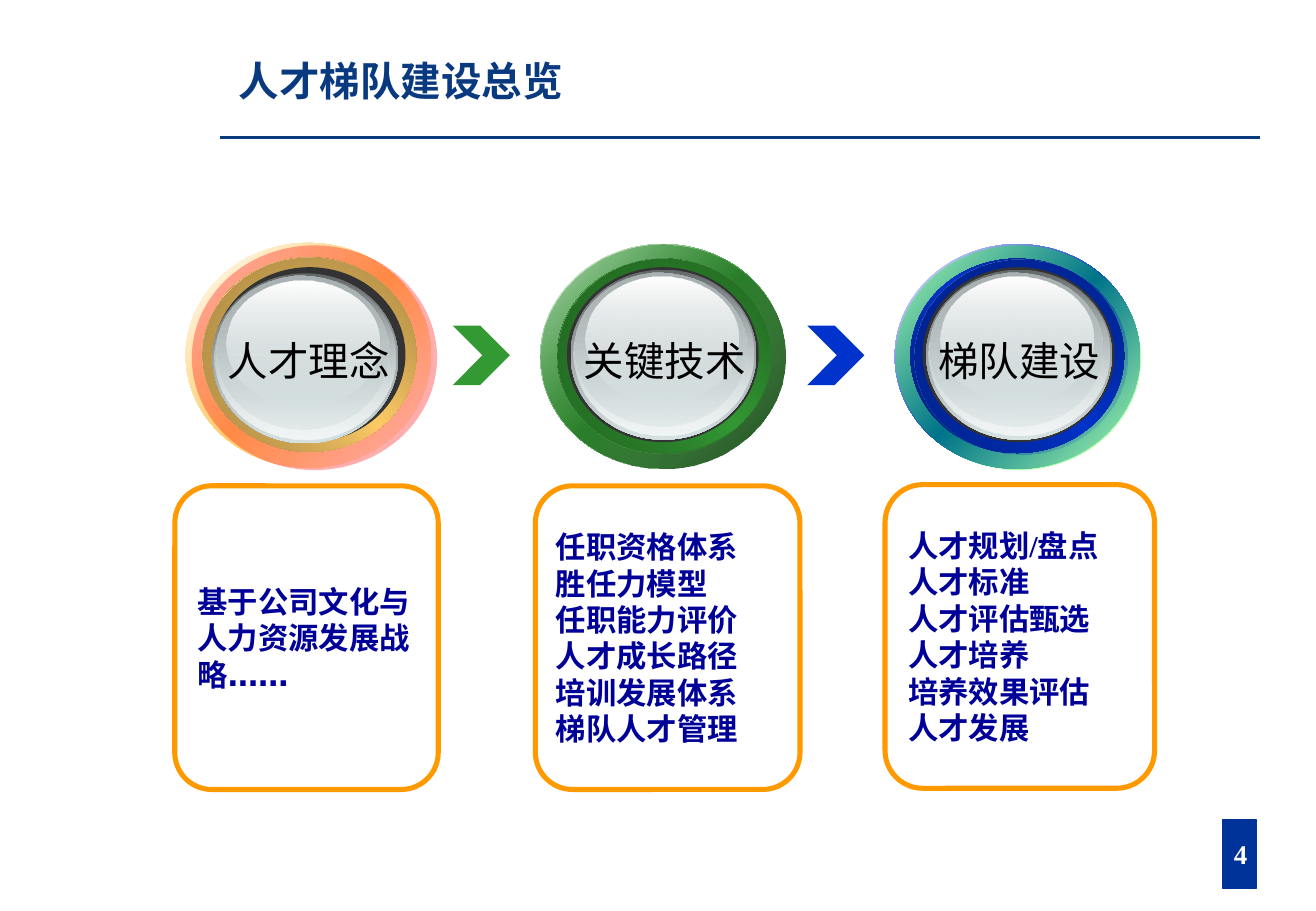
from dataclasses import dataclass

from lxml.etree import SubElement
from pptx import Presentation
from pptx.dml.color import RGBColor
from pptx.enum.shapes import MSO_CONNECTOR, MSO_SHAPE
from pptx.enum.text import MSO_ANCHOR, PP_ALIGN
from pptx.oxml.ns import qn
from pptx.util import Inches, Length, Pt

CELL = 0.1
NAVY, ORANGE, INK, WHITE = "093A80", "FF9900", "000099", "FFFFFF"
SONG, SANS = "DejaVu Sans", "Noto Sans CJK SC"


@dataclass(frozen=True)
class Area:
    column: float
    row: float
    columns: float
    rows: float

    def lengths(self) -> tuple[Length, ...]:
        return tuple(map(cells, (self.column, self.row, self.columns, self.rows)))


@dataclass(frozen=True)
class Stop:
    position: int
    colour: str
    opacity: int = 100


@dataclass(frozen=True)
class Paint:
    stops: tuple[Stop, ...]
    angle: int = 45


@dataclass(frozen=True)
class Type:
    size: int
    colour: str
    latin: str
    asian: str = SONG
    bold: bool = True
    align: PP_ALIGN = PP_ALIGN.LEFT
    spacing: float = 1.0


@dataclass(frozen=True)
class Medal:
    label: str
    column: float
    row: float
    paints: tuple[Paint, ...]
    offsets: tuple[tuple[float, float], ...]
    glass: tuple[float, float]
    label_column: float


@dataclass(frozen=True)
class Card:
    area: Area
    text: str
    latin: str = "Times New Roman"


def solid(colour: str, opacity: int = 100) -> Paint:
    return Paint((Stop(0, colour, opacity),))


def fade(start: str, end: str, angle: int = 45, start_opacity: int = 100, end_opacity: int = 100) -> Paint:
    return Paint((Stop(0, start, start_opacity), Stop(100, end, end_opacity)), angle)


def band(edge: str, middle: str, angle: int = 45) -> Paint:
    return Paint((Stop(0, edge), Stop(50, middle), Stop(100, edge)), angle)


RING_SIZES = ((20.2, 18.5), (20.2, 18.5), (17.6, 16), (17.6, 16), (15.8, 14.4))
GLASS = (
    (Area(0, 0, 15.3, 14), fade("636869", "D6E1E2", 90)),
    (Area(0.2, 0.1, 14.9, 13.6), fade("D6E1E2", "F1F5F5", 90, 0)),
    (Area(0.3, 0.2, 14.2, 12.7), fade("AAB2B3", "D6E1E2", 90, 100, 48)),
    (Area(1.2, 0.6, 12.6, 10.3), fade(WHITE, "D6E1E2", 90, 100, 38)),
)
MEDALS = (
    Medal("人才理念", 15.3, 20,
          (band(WHITE, "FFCC66"), solid("FF0000", 32), band("8A6E37", "FFCC66", 315),
           fade("A28241", "FFCC66", end_opacity=0), solid("333333")),
          ((0, 0), (0.5, 0.2), (1.4, 1.2), (1.4, 1.2), (2.3, 2)), (2.2, 2.5), 17.8),
    Medal("关键技术", 44.5, 20.1,
          (band(WHITE, "339933"), fade("339933", "184718", start_opacity=32), band("1C531C", "339933", 315),
           fade("206120", "339933", end_opacity=0), solid("333333")),
          ((0, 0), (0, 0), (1.4, 1.2), (1.4, 1.2), (2.2, 1.9)), (2.5, 2.1), 47.1),
    Medal("梯队建设", 73.7, 20.1,
          (band(WHITE, "0033CC"), solid("00FF00", 32), band("001C6E", "0033CC", 315),
           fade("002082", "0033CC", end_opacity=0), solid("333333")),
          ((0, 0), (0.1, 0.1), (1.3, 1.2), (1.6, 1.3), (2.3, 1.9)), (2.6, 2.1), 76.3),
)
CARDS = (
    Card(Area(44.1, 40, 21.8, 25), ""),
    Card(Area(14.4, 40, 21.7, 25), "基于公司文化与人力资源发展战略……", SONG),
    Card(Area(72.9, 39.9, 22.2, 25), "人才规划/盘点\n人才标准\n人才评估甄选\n人才培养\n培养效果评估\n人才发展"),
)
CHEVRONS = ((37.3, "339933"), (66.5, "0033CC"))
TECHNIQUES = "任职资格体系\n胜任力模型\n任职能力评价\n人才成长路径\n培训发展体系\n梯队人才管理"


def cells(count: float) -> Length:
    return Inches(count * CELL)


def colour_of(value: str) -> RGBColor:
    return RGBColor.from_string(value)


def add_colour(parent, stop: Stop) -> None:
    colour = SubElement(parent, qn("a:srgbClr"), val=stop.colour)
    if stop.opacity < 100:
        SubElement(colour, qn("a:alpha"), val=str(stop.opacity * 1000))


def apply_paint(shape, paint: Paint) -> None:
    shape.fill.background()
    fill = shape.fill._xPr.find(qn("a:noFill"))
    if len(paint.stops) == 1:
        fill.tag = qn("a:solidFill")
        add_colour(fill, paint.stops[0])
        return
    fill.tag = qn("a:gradFill")
    fill.set("rotWithShape", "1")
    stops = SubElement(fill, qn("a:gsLst"))
    for stop in paint.stops:
        add_colour(SubElement(stops, qn("a:gs"), pos=str(stop.position * 1000)), stop)
    SubElement(fill, qn("a:lin"), ang=str(paint.angle * 60000), scaled="0")


def add_figure(page, kind: MSO_SHAPE, area: Area, paint: Paint | None = None,
               outline: str = "", width: float = 1):
    figure = page.shapes.add_shape(kind, *area.lengths())
    figure.shadow.inherit = False
    if paint:
        apply_paint(figure, paint)
    else:
        figure.fill.background()
    if outline:
        figure.line.color.rgb = colour_of(outline)
        figure.line.width = Pt(width)
    else:
        figure.line.fill.background()
    return figure


def write(box, text: str, style: Type, anchor: MSO_ANCHOR = MSO_ANCHOR.TOP, wrap: bool = True) -> None:
    frame = box.text_frame
    frame.text = text
    frame.word_wrap = wrap
    frame.vertical_anchor = anchor
    for paragraph in frame.paragraphs:
        paragraph.alignment = style.align
        paragraph.line_spacing = style.spacing
        for span in paragraph.runs:
            span.font.size = Pt(style.size)
            span.font.bold = style.bold
            span.font.name = style.latin
            span.font.color.rgb = colour_of(style.colour)
            SubElement(span.font._element, qn("a:ea"), typeface=style.asian)


def add_text(page, area: Area, text: str, style: Type,
             anchor: MSO_ANCHOR = MSO_ANCHOR.TOP, wrap: bool = True) -> None:
    write(page.shapes.add_textbox(*area.lengths()), text, style, anchor, wrap)


def add_medal(page, medal: Medal) -> None:
    for size, paint, (right, down) in zip(RING_SIZES, medal.paints, medal.offsets):
        add_figure(page, MSO_SHAPE.OVAL, Area(medal.column + right, medal.row + down, *size), paint)
    left, top = medal.column + medal.glass[0], medal.row + medal.glass[1]
    for area, paint in GLASS:
        add_figure(page, MSO_SHAPE.OVAL, Area(left + area.column, top + area.row, area.columns, area.rows), paint)
    add_text(page, Area(medal.label_column, 27.2, 15.3, 5), medal.label,
             Type(24, "000000", "Arial", bold=False, align=PP_ALIGN.CENTER), wrap=False)


def add_card(page, card: Card) -> None:
    box = add_figure(page, MSO_SHAPE.ROUNDED_RECTANGLE, card.area, outline=ORANGE, width=3)
    box.adjustments[0] = 0.14
    if card.text:
        write(box, card.text, Type(18, INK, card.latin), MSO_ANCHOR.MIDDLE)


def add_rule(page) -> None:
    rule = page.shapes.add_connector(MSO_CONNECTOR.STRAIGHT, *map(cells, (18.1, 11.3, 103.8, 11.3)))
    rule.line.color.rgb = colour_of(NAVY)
    rule.line.width = Pt(2)
    SubElement(rule._element.spPr, qn("a:effectLst"))


def main() -> None:
    deck = Presentation()
    deck.slide_width, deck.slide_height = cells(108.4), cells(75)
    page = deck.slides.add_slide(deck.slide_layouts[6])
    add_rule(page)
    add_figure(page, MSO_SHAPE.RECTANGLE, Area(100.7, 67.5, 2.8, 5.6), solid("003399"), "003399")
    add_text(page, Area(96.2, 68.5, 12, 3.7), "4",
             Type(16, WHITE, "Times New Roman", align=PP_ALIGN.CENTER), wrap=False)
    for card in CARDS:
        add_card(page, card)
    for column, colour in CHEVRONS:
        chevron = add_figure(page, MSO_SHAPE.CHEVRON, Area(column, 26.8, 4.7, 4.9), solid(colour))
        chevron.adjustments[0] = 0.52
    for medal in MEDALS:
        add_medal(page, medal)
    add_text(page, Area(18.7, 3.2, 89.7, 7.5), "人才梯队建设总览",
             Type(24, NAVY, SANS, SANS, spacing=0.8), MSO_ANCHOR.MIDDLE)
    add_text(page, Area(44.8, 43, 22.8, 19), TECHNIQUES, Type(18, INK, "Times New Roman"))
    deck.save("out.pptx")


if __name__ == "__main__":
    main()
